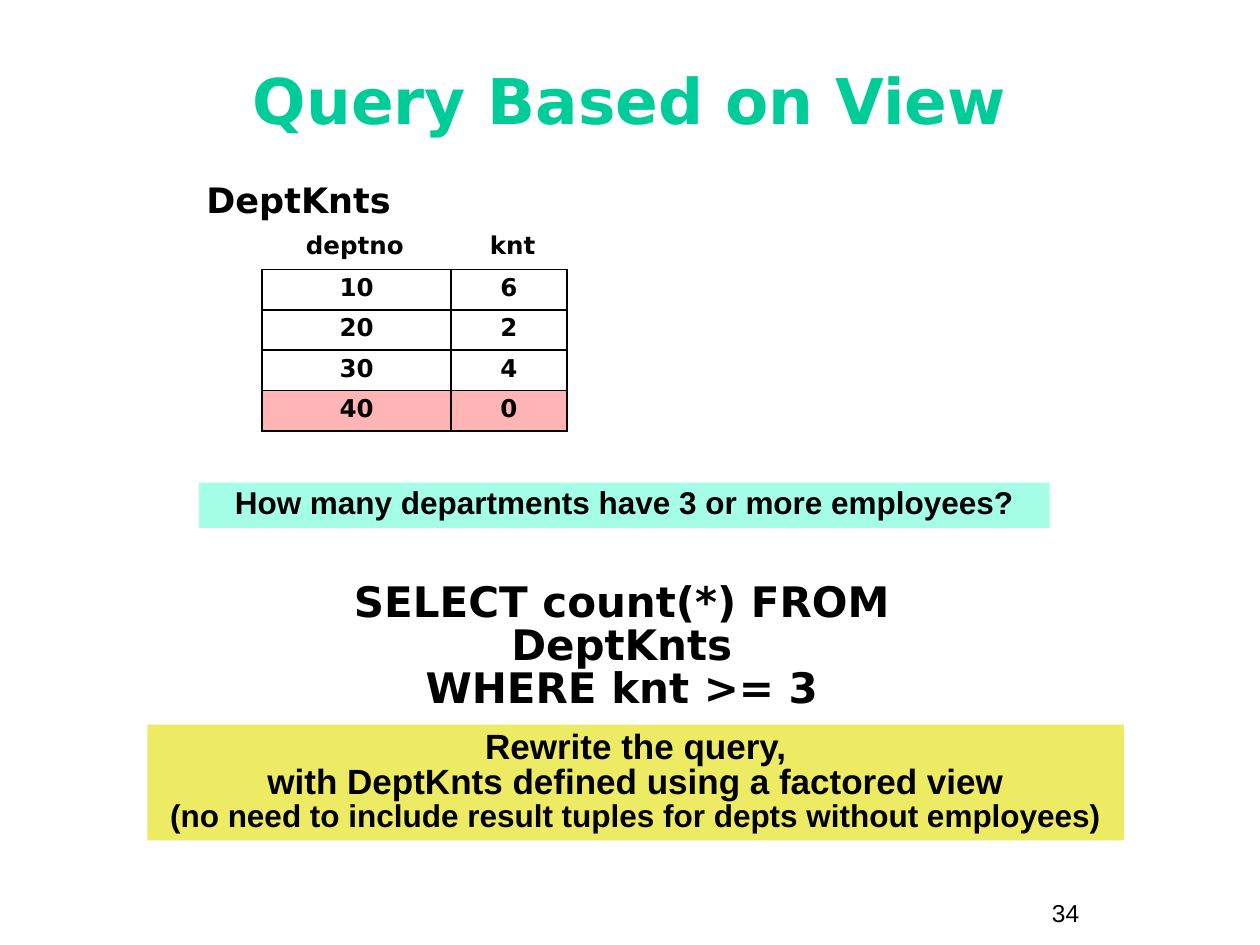
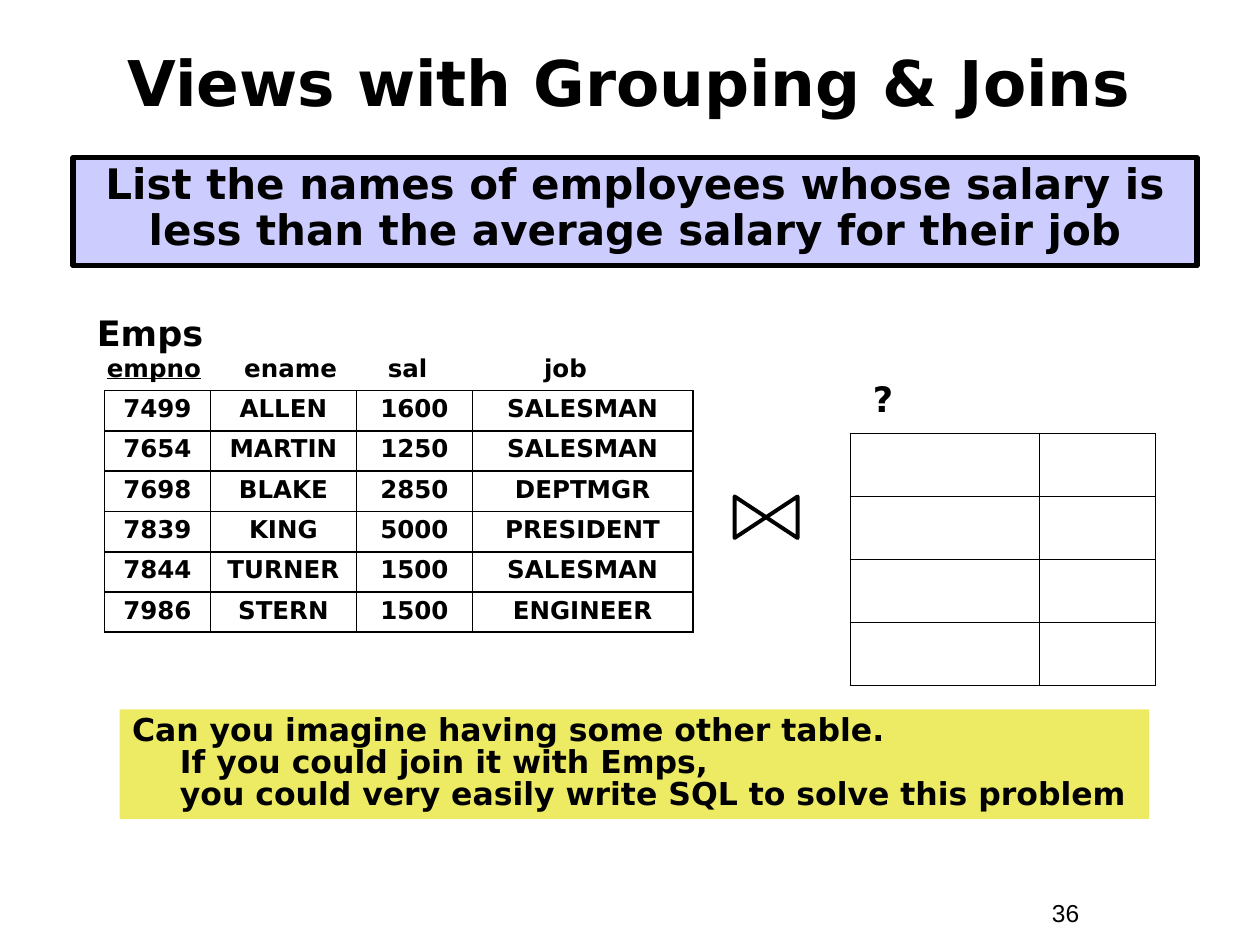
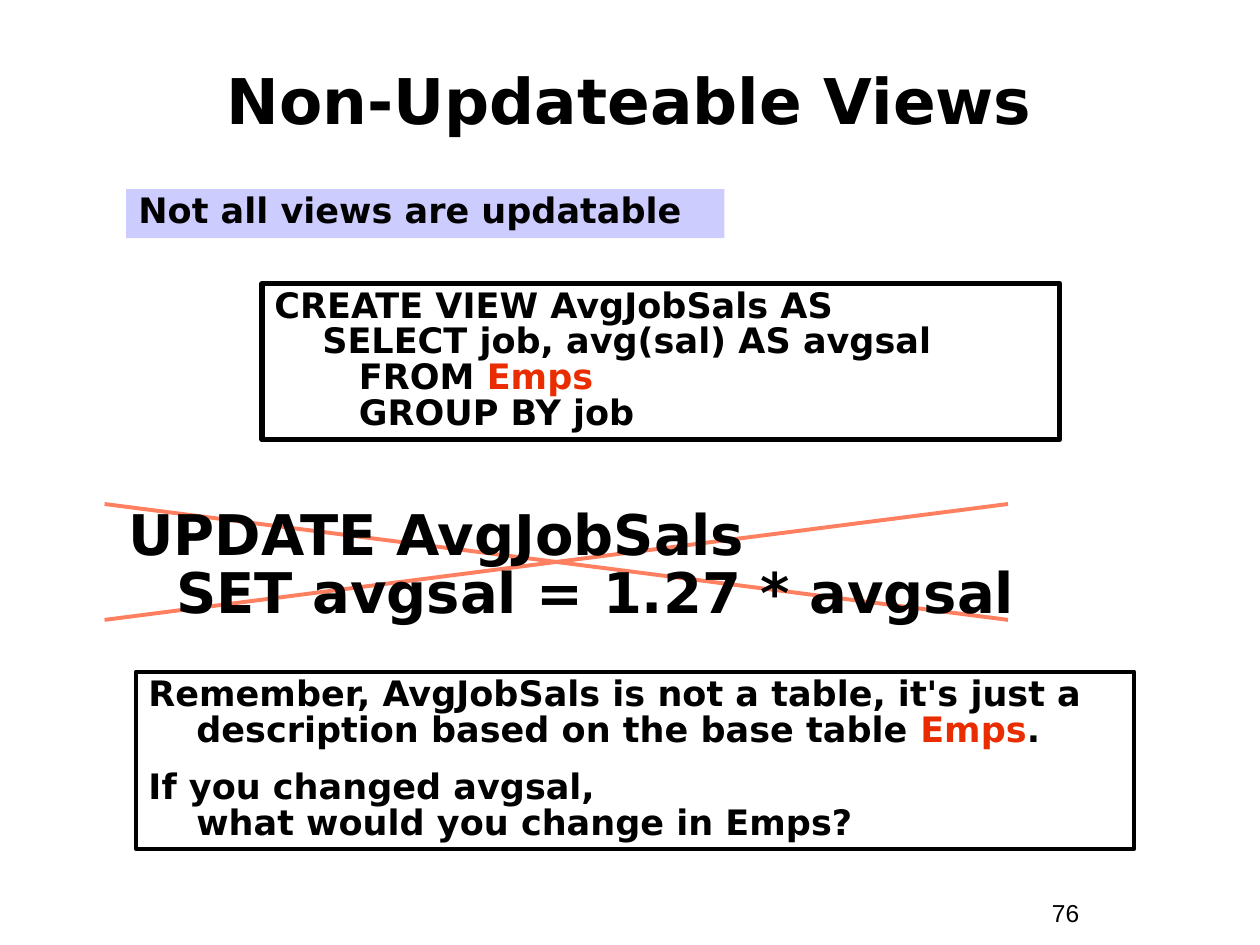
from dataclasses import dataclass

from lxml.etree import SubElement
from pptx import Presentation
from pptx.dml.color import RGBColor
from pptx.enum.shapes import MSO_CONNECTOR as Connector, MSO_SHAPE as Shape
from pptx.enum.text import MSO_ANCHOR as Anchor, PP_ALIGN as Align
from pptx.oxml.ns import qn
from pptx.util import Emu, Inches, Pt


@dataclass(frozen=True)
class Theme:
    black: str = "000000"
    green: str = "00CC99"
    aqua: str = "A5FFE7"
    yellow: str = "EDEA63"
    lilac: str = "CCCCFF"
    pink: str = "FFB5B5"
    red: str = "EA2D00"
    coral: str = "FF7F61"
    sans: str = "DejaVu Sans"
    arial: str = "Arial"
    title: int = 36
    update: int = 32
    query: int = 24
    body: int = 20
    note: int = 18
    small: int = 14
    border: float = 1.08
    thin: float = 2.25
    thick: float = 3


THEME = Theme()
HANGING = 0.38
RED = {"color": THEME.red}

DEPT_COUNTS = [("10", "6"), ("20", "2"), ("30", "4"), ("40", "0")]
DEPT_WIDTHS = [1.5, 0.92]
EMPLOYEES = [
    ("7499", "ALLEN", "1600", "SALESMAN"),
    ("7654", "MARTIN", "1250", "SALESMAN"),
    ("7698", "BLAKE", "2850", "DEPTMGR"),
    ("7839", "KING", "5000", "PRESIDENT"),
    ("7844", "TURNER", "1500", "SALESMAN"),
    ("7986", "STERN", "1500", "ENGINEER"),
]
EMPLOYEE_WIDTHS = [0.84, 1.16, 0.92, 1.75]
UNKNOWN = [("", "")] * 4

DEPT_HEADER = [[("deptno\tknt", {})]]
EMPLOYEE_HEADER = [[("empno", {"underline": True}), ("\tename\tsal\tjob", {})]]
DEPT_QUESTION = [[("How many departments have 3 or more employees?", {})]]
DEPT_QUERY = [[("SELECT count(*) FROM DeptKnts\nWHERE knt >= 3", {})]]
REWRITE = [[
    ("Rewrite the query,\nwith DeptKnts defined using a factored view\n", {}),
    ("(no need to include result tuples for depts without employees)", {"size": THEME.note}),
]]
SALARY_QUESTION = [[
    ("List the names of employees whose salary is less than the average salary for their job", {}),
]]
JOIN_HINT = [[
    ("Can you imagine having some other table.\n"
     "If you could join it with Emps,\n"
     "you could very easily write SQL to solve this problem", {}),
]]
NOT_UPDATABLE = [[("Not all views are updatable", {})]]
VIEW_CODE = [[
    ("CREATE VIEW AvgJobSals AS\nSELECT job, avg(sal) AS avgsal\n   FROM ", {}),
    ("Emps\n", RED),
    ("   GROUP BY job", {}),
]]
UPDATE_CODE = [[("UPDATE AvgJobSals\nSET avgsal = 1.27 * avgsal", {})]]
REMINDER = [
    [("Remember, AvgJobSals is not a table, it's just a description based on the base table ", {}),
     ("Emps", RED), (".", {})],
    [("If you changed avgsal,\nwhat would you change in Emps?", {})],
]


def rgb(color):
    return RGBColor.from_string(color)


def add_span(para, text, size, font=THEME.sans, color=THEME.black, bold=True, underline=None):
    for index, line in enumerate(text.split("\n")):
        if index:
            para.add_line_break()
        if line:
            span = para.add_run()
            span.text = line
            span.font.name = font
            span.font.size = Pt(size)
            span.font.bold = bold
            span.font.underline = underline
            span.font.color.rgb = rgb(color)


def write(frame, paragraphs, size, align=Align.LEFT, spacing=0.85, indent=0, tabs=(), **style):
    frame.word_wrap = True
    for index, spans in enumerate(paragraphs):
        para = frame.add_paragraph() if index else frame.paragraphs[0]
        para.alignment = align
        para.line_spacing = spacing
        if index:
            para.space_before = Pt(12.5)
        props = para._p.get_or_add_pPr()
        if indent:
            props.set("marL", str(Inches(indent)))
            props.set("indent", str(-Inches(indent)))
        if tabs:
            stops = SubElement(props, qn("a:tabLst"))
            for stop in tabs:
                SubElement(stops, qn("a:tab"), pos=str(Inches(stop)), algn="l")
        for text, changes in spans:
            add_span(para, text, **{"size": size, **style, **changes})


def add_text(page, place, paragraphs, size, anchor=Anchor.TOP, **style):
    box = page.shapes.add_textbox(*map(Inches, place))
    box.text_frame.vertical_anchor = anchor
    write(box.text_frame, paragraphs, size, **style)


def draw_shape(shapes, kind, place, fill=None, line=None):
    shape = shapes.add_shape(kind, *map(Inches, place))
    shape.shadow.inherit = False
    if fill:
        shape.fill.solid()
        shape.fill.fore_color.rgb = rgb(fill)
    else:
        shape.fill.background()
    if line:
        shape.line.color.rgb = rgb(THEME.black)
        shape.line.width = Pt(line)
    else:
        shape.line.fill.background()
    return shape


def add_panel(page, place, paragraphs, size, fill=None, line=None, **style):
    panel = draw_shape(page.shapes, Shape.RECTANGLE, place, fill, line)
    panel.text_frame.vertical_anchor = Anchor.TOP
    write(panel.text_frame, paragraphs, size, **style)


def style_cell(cell, fill):
    props = cell._tc.get_or_add_tcPr()
    for side in ("a:lnL", "a:lnR", "a:lnT", "a:lnB"):
        border = SubElement(props, qn(side), w=str(Pt(THEME.border)))
        SubElement(SubElement(border, qn("a:solidFill")), qn("a:srgbClr"), val=THEME.black)
    if fill:
        cell.fill.solid()
        cell.fill.fore_color.rgb = rgb(fill)
    else:
        cell.fill.background()


def add_grid(page, left, top, widths, height, rows, marked=None):
    place = map(Inches, (left, top, sum(widths), height * len(rows)))
    grid = page.shapes.add_table(len(rows), len(widths), *place).table
    grid.first_row = grid.horz_banding = False
    for column, width in zip(grid.columns, widths):
        column.width = Inches(width)
    for number, (row, values) in enumerate(zip(grid.rows, rows)):
        row.height = Inches(height)
        for cell, value in zip(row.cells, values):
            style_cell(cell, THEME.pink if number == marked else None)
            if value:
                write(cell.text_frame, [[(value, {})]], THEME.small, Align.CENTER, 0.9)


def add_cross(page, left, top, right, bottom):
    for start, end in ((bottom, top), (top, bottom)):
        stroke = page.shapes.add_connector(
            Connector.STRAIGHT, *map(Inches, (left, start, right, end)))
        stroke.line.color.rgb = rgb(THEME.coral)
        stroke.line.width = Pt(THEME.thin)
        SubElement(stroke._element.spPr, qn("a:effectLst"))


def add_join_symbol(page):
    group = page.shapes.add_group_shape()
    for left, rotation in ((6.04, 270), (5.79, 90)):
        triangle = draw_shape(group.shapes, Shape.ISOSCELES_TRIANGLE,
                              (left, 3.98, 0.33, 0.25), line=THEME.thin)
        triangle.rotation = rotation


def add_page(deck, title, number, color=THEME.black, height=0.92, spacing=1):
    page = deck.slides.add_slide(deck.slide_layouts[6])
    add_text(page, (0.33, 0.33, 9.33, height), [[(title, {})]], THEME.title, Anchor.MIDDLE,
             align=Align.CENTER, spacing=spacing, color=color)
    add_text(page, (8.25, 7.08, 0.92, 0.34), [[(number, {})]], THEME.small,
             spacing=1, font=THEME.arial, bold=False)
    return page


def build_query(deck):
    page = add_page(deck, "Query Based on View", "34", THEME.green)
    add_text(page, (1.33, 1.42, 2.08, 0.39), [[("DeptKnts", {})]], THEME.body, align=Align.CENTER)
    add_text(page, (2.33, 1.78, 2.83, 0.34), DEPT_HEADER, THEME.small, spacing=1, tabs=[1.46])
    add_grid(page, 2.08, 2.14, DEPT_WIDTHS, 0.32, DEPT_COUNTS, marked=3)
    add_panel(page, (1.58, 3.83, 6.75, 0.36), DEPT_QUESTION, THEME.note, THEME.aqua,
              align=Align.CENTER, font=THEME.arial)
    add_text(page, (2.18, 4.58, 5.51, 0.78), DEPT_QUERY, THEME.query, align=Align.CENTER)
    add_panel(page, (1.17, 5.75, 7.75, 0.92), REWRITE, THEME.body, THEME.yellow,
              align=Align.CENTER, font=THEME.arial)


def build_joins(deck):
    page = add_page(deck, "Views with Grouping & Joins", "36", height=0.75, spacing=0.8)
    add_panel(page, (0.58, 1.25, 8.92, 0.86), SALARY_QUESTION, THEME.query, THEME.lilac,
              THEME.thick, align=Align.CENTER, spacing=0.9)
    add_text(page, (0.67, 2.42, 2.33, 0.44), [[("Emps", {})]], THEME.body, spacing=1)
    add_text(page, (0.75, 2.75, 5.17, 0.34), EMPLOYEE_HEADER, THEME.small,
             spacing=1, tabs=[1.09, 2.23, 3.47])
    add_grid(page, 0.83, 3.1, EMPLOYEE_WIDTHS, 0.32, EMPLOYEES)
    add_join_symbol(page)
    add_text(page, (6.83, 2.95, 0.92, 0.44), [[("?", {})]], THEME.body, spacing=1)
    add_grid(page, 6.75, 3.44, DEPT_WIDTHS, 0.5, UNKNOWN)
    add_panel(page, (0.95, 5.63, 8.17, 0.87), JOIN_HINT, THEME.note, THEME.yellow, indent=HANGING)


def build_updates(deck):
    page = add_page(deck, "Non-Updateable Views", "76")
    add_cross(page, 0.83, 4, 8, 4.92)
    add_panel(page, (1, 1.5, 4.75, 0.39), NOT_UPDATABLE, THEME.body, THEME.lilac, indent=HANGING)
    add_panel(page, (2.08, 2.25, 6.33, 1.24), VIEW_CODE, THEME.body, line=THEME.thick,
              indent=HANGING)
    add_text(page, (0.92, 4, 8, 1.08), UPDATE_CODE, THEME.update, indent=HANGING)
    add_panel(page, (1.08, 5.33, 7.92, 1.41), REMINDER, THEME.body, line=THEME.thin,
              indent=HANGING)


def main():
    deck = Presentation()
    deck.slide_width, deck.slide_height = Inches(10), Inches(7.5)
    for build in (build_query, build_joins, build_updates):
        build(deck)
    deck.save("out.pptx")


if __name__ == "__main__":
    main()
